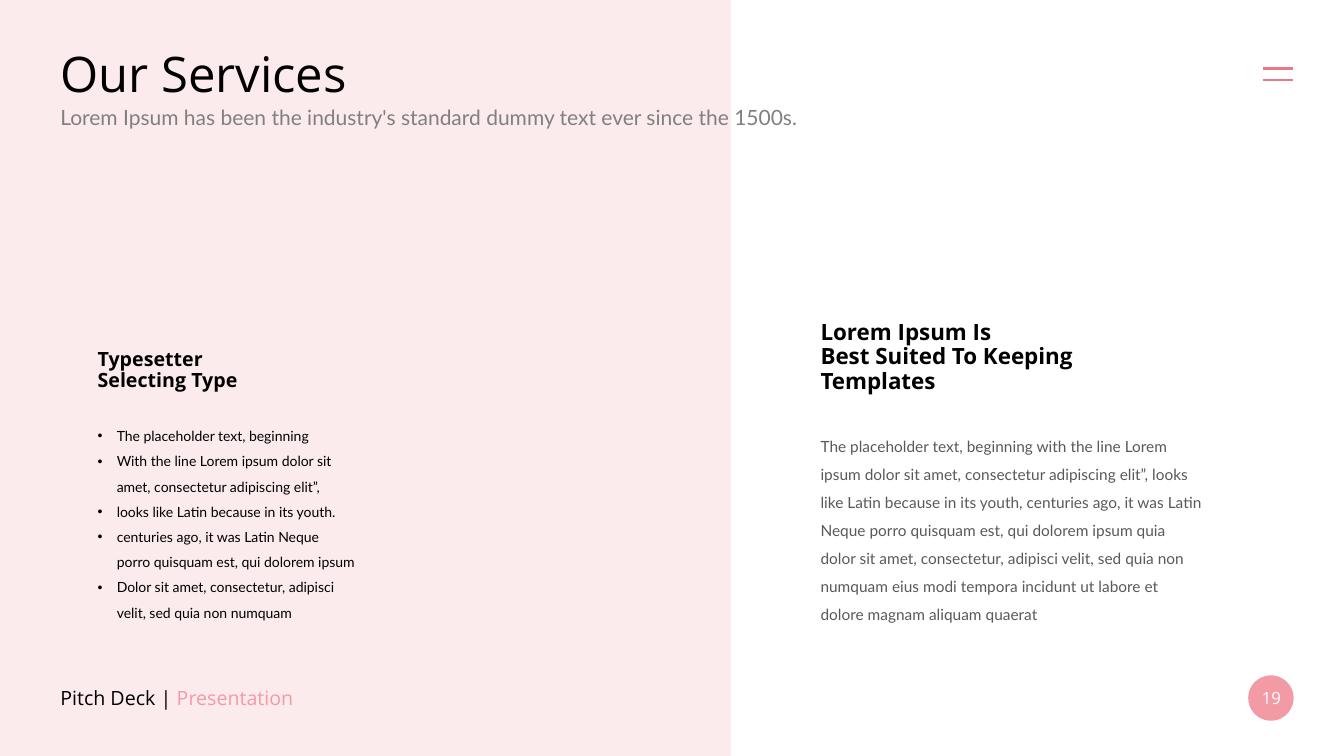
from lxml.etree import SubElement
from pptx import Presentation
from pptx.dml.color import RGBColor
from pptx.enum.shapes import MSO_CONNECTOR, MSO_SHAPE
from pptx.enum.text import MSO_ANCHOR, PP_ALIGN
from pptx.oxml.ns import qn
from pptx.util import Pt

PX = 9144
COLORS = {
    "blush": "FCEBED",
    "rose": "F29BA5",
    "menu": "ED7885",
    "black": "000000",
    "body": "595959",
    "subtitle": "808080",
    "white": "FFFFFF",
}
HEADING_FONT = "Open Sans"
BODY_FONT = "Lato"


def color(name):
    return RGBColor.from_string(COLORS[name])


def add_panel(slide, preset, box, fill):
    panel = slide.shapes.add_shape(preset, *[n * PX for n in box])
    panel.shadow.inherit = False
    panel.fill.solid()
    panel.fill.fore_color.rgb = color(fill)
    panel.line.fill.background()


def add_bullet(paragraph, indent):
    properties = paragraph._p.get_or_add_pPr()
    properties.set("marL", str(indent * PX))
    properties.set("indent", str(-indent * PX))
    SubElement(properties, qn("a:buFont"), typeface="Arial")
    SubElement(properties, qn("a:buChar"), char="•")


def add_text(slide, box, paragraphs, font, size, bold=False, spacing=None,
             anchor=MSO_ANCHOR.TOP, align=PP_ALIGN.LEFT, bullet_indent=0):
    frame = slide.shapes.add_textbox(*[n * PX for n in box]).text_frame
    frame.word_wrap = True
    frame.vertical_anchor = anchor
    for index, runs in enumerate(paragraphs):
        paragraph = frame.add_paragraph() if index else frame.paragraphs[0]
        if bullet_indent:
            add_bullet(paragraph, bullet_indent)
        paragraph.alignment = align
        if spacing:
            paragraph.line_spacing = spacing
        for words, tone in runs:
            run = paragraph.add_run()
            run.text = words
            run.font.name = font
            run.font.size = Pt(size)
            run.font.bold = bold
            run.font.color.rgb = color(tone)


def add_menu(slide, left, top, width, gap):
    for y in (top, top + gap):
        bar = slide.shapes.add_connector(
            MSO_CONNECTOR.STRAIGHT, left * PX, y * PX, (left + width) * PX, y * PX)
        bar.line.color.rgb = color("menu")
        bar.line.width = Pt(1.5)
        SubElement(bar._element.spPr, qn("a:effectLst"))


def add_header(slide, left, top, width):
    add_text(slide, (left, top, width, 66), [[("Our Services", "black")]],
             HEADING_FONT, 35, anchor=MSO_ANCHOR.MIDDLE)
    subtitle = "Lorem Ipsum has been the industry's standard dummy text ever since the 1500s."
    add_text(slide, (left, top + 60, width, 35), [[(subtitle, "subtitle")]], BODY_FONT, 15)
    add_menu(slide, left + 1203, top + 29, 29, 11)


def add_services(slide, left, top, width):
    heading = ["Typesetter", "Selecting Type"]
    services = [
        "The placeholder text, beginning",
        "With the line Lorem ipsum dolor sit amet, consectetur adipiscing elit”,",
        "looks like Latin because in its youth.",
        "centuries ago, it was Latin Neque porro quisquam est, qui dolorem ipsum",
        "Dolor sit amet, consectetur, adipisci velit, sed quia non numquam",
    ]
    add_text(slide, (left, top, width, 57), [[(line, "black")] for line in heading],
             HEADING_FONT, 14, bold=True, spacing=0.9)
    add_text(slide, (left, top + 69, width, 209), [[(service, "black")] for service in services],
             BODY_FONT, 10, spacing=Pt(18), bullet_indent=19)


def add_summary(slide, left, top, width):
    heading = ["Lorem Ipsum Is", "Best Suited To Keeping Templates"]
    summary = (
        "The placeholder text, beginning with the line Lorem ipsum dolor sit amet, "
        "consectetur adipiscing elit”, looks like Latin because in its youth, "
        "centuries ago, it was Latin Neque porro quisquam est, qui dolorem "
        "ipsum quia dolor sit amet, consectetur, adipisci velit, "
        "sed quia non numquam eius modi tempora incidunt ut labore et dolore "
        "magnam aliquam quaerat"
    )
    add_text(slide, (left, top, 282, 91), [[(line, "black")] for line in heading],
             HEADING_FONT, 16, bold=True, spacing=0.9)
    add_text(slide, (left, top + 105, width, 203), [[(summary, "body")]],
             BODY_FONT, 11, spacing=Pt(20))


def add_footer(slide, left, top):
    add_text(slide, (left, top + 2, 329, 40),
             [[("Pitch Deck | ", "black"), ("Presentation", "rose")]],
             HEADING_FONT, 14, anchor=MSO_ANCHOR.MIDDLE)
    add_panel(slide, MSO_SHAPE.OVAL, (left + 1188, top, 45, 45), "rose")
    add_text(slide, (left + 1184, top + 11, 54, 22), [[("19", "white")]],
             HEADING_FONT, 12, anchor=MSO_ANCHOR.MIDDLE, align=PP_ALIGN.CENTER)


def main():
    deck = Presentation()
    deck.slide_width = 1333 * PX
    deck.slide_height = 750 * PX
    slide = deck.slides.add_slide(deck.slide_layouts[6])
    add_panel(slide, MSO_SHAPE.RECTANGLE, (0, 0, 725, 750), "blush")
    add_header(slide, 50, 39, 1233)
    add_services(slide, 87, 342, 276)
    add_summary(slide, 804, 314, 400)
    add_footer(slide, 50, 670)
    deck.save("out.pptx")


if __name__ == "__main__":
    main()
